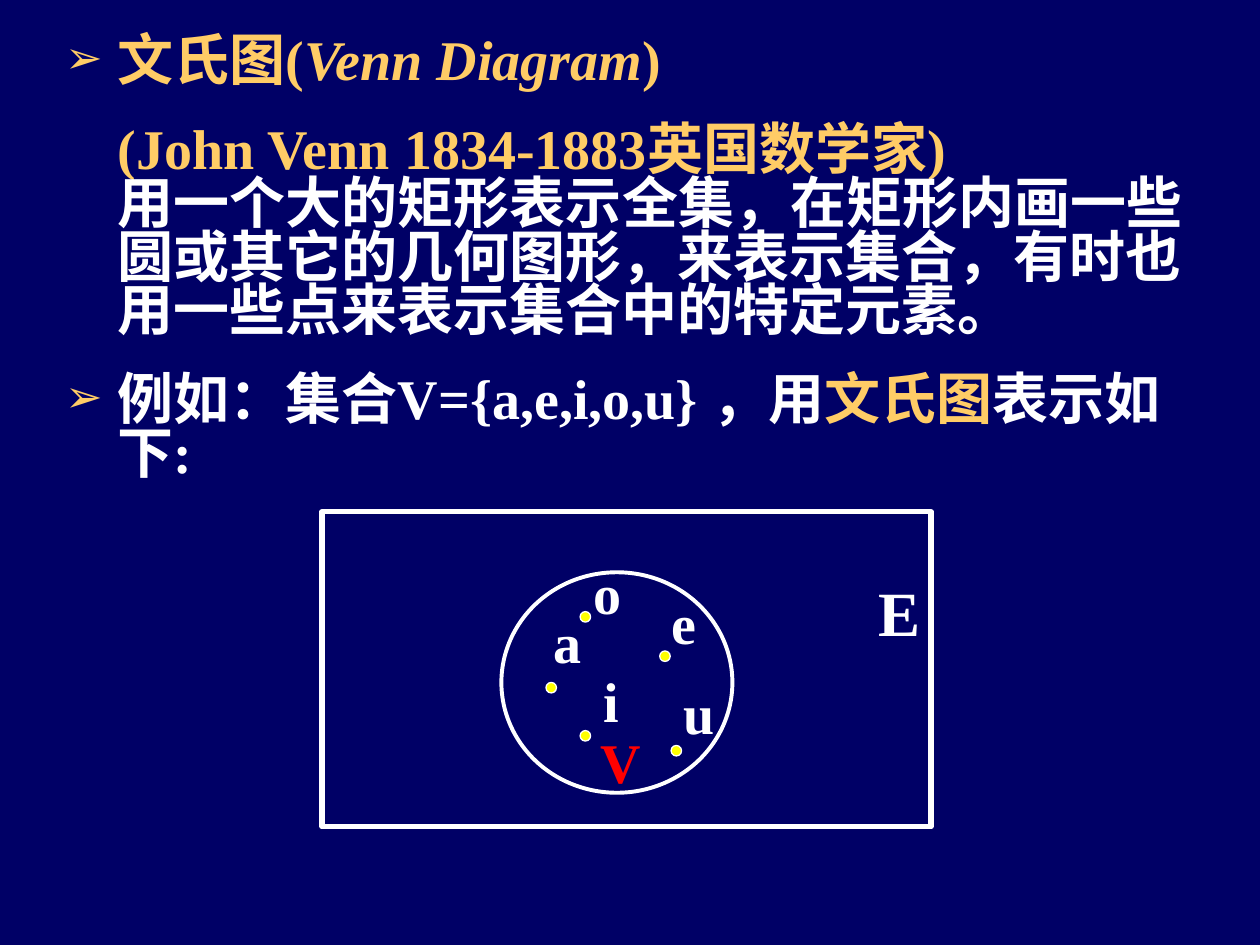
from typing import NamedTuple

from lxml.etree import SubElement
from pptx import Presentation
from pptx.dml.color import RGBColor
from pptx.enum.shapes import MSO_SHAPE as Preset
from pptx.enum.text import MSO_ANCHOR as Anchor, MSO_AUTO_SIZE as AutoSize
from pptx.oxml.ns import qn
from pptx.util import Pt

COLORS = {
    "background": "000066",
    "gold": "FFCC66",
    "white": "FFFFFF",
    "red": "FF0000",
    "yellow": "FFFF00",
}
LATIN_FONT = "Times New Roman"
CHINESE_FONT = "Noto Sans CJK SC"
INDENT = 30
DOT_SIZE = 6


class Run(NamedTuple):
    text: str
    color: str = "white"
    italic: bool = False
    font: str = LATIN_FONT


class Label(NamedTuple):
    text: str
    left: float
    top: float
    width: float
    height: float = 46
    size: float = 32
    color: str = "white"


class Dot(NamedTuple):
    left: float
    top: float


def rgb(name: str) -> RGBColor:
    return RGBColor.from_string(COLORS[name])


def add_text(paragraph, text: str, *, size: float = 32, color: str = "white",
             italic: bool = False, font: str = LATIN_FONT) -> None:
    run = paragraph.add_run()
    run.text = text
    run.font.size = Pt(size)
    run.font.bold = True
    run.font.italic = italic
    run.font.name = font
    run.font.color.rgb = rgb(color)
    SubElement(run.font._element, qn("a:ea"), typeface=CHINESE_FONT)


def format_bullet(paragraph, bulleted: bool) -> None:
    properties = paragraph._p.get_or_add_pPr()
    properties.set("marL", str(Pt(INDENT)))
    properties.set("indent", str(Pt(-INDENT if bulleted else 0)))
    if not bulleted:
        SubElement(properties, qn("a:buNone"))
        return
    bullet_color = SubElement(properties, qn("a:buClr"))
    SubElement(bullet_color, qn("a:srgbClr"), val=COLORS["gold"])
    SubElement(properties, qn("a:buSzPct"), val="80000")
    SubElement(properties, qn("a:buChar"), char="➢")


def add_outline(slide, preset, left: float, top: float, width: float,
                height: float, line_width: float, fill: str | None = None) -> None:
    shape = slide.shapes.add_shape(preset, Pt(left), Pt(top), Pt(width), Pt(height))
    shape.shadow.inherit = False
    if fill:
        shape.fill.solid()
        shape.fill.fore_color.rgb = rgb(fill)
    else:
        shape.fill.background()
    shape.line.color.rgb = rgb("white")
    shape.line.width = Pt(line_width)


def add_label(slide, label: Label) -> None:
    box = slide.shapes.add_textbox(Pt(label.left), Pt(label.top),
                                   Pt(label.width), Pt(label.height))
    frame = box.text_frame
    frame.word_wrap = False
    frame.auto_size = AutoSize.SHAPE_TO_FIT_TEXT
    add_text(frame.paragraphs[0], label.text, size=label.size, color=label.color)


# Each paragraph: whether it has a bullet, then its runs
PARAGRAPHS = [
    (True, [Run("文氏图(", "gold"),
            Run("Venn Diagram", "gold", italic=True),
            Run(")", "gold")]),
    (False, [Run("(John Venn 1834-1883英国数学家)", "gold"),
             Run("\v"),
             Run("用一个大的"),
             Run("矩形表示全集，在矩形内画一些圆或其它的几何图形，"
                 "来表示集合，有时也用一些点来表示集合中的特定元素。", font=CHINESE_FONT)]),
    (True, [Run("例如：集合", font=CHINESE_FONT),
            Run("V={a,e,i,o,u} ，用"),
            Run("文氏图", "gold"),
            Run("表示如下:")]),
]
LABELS = [
    Label("E", 495, 324, 38, height=50.5, size=36),
    Label("V", 336, 412, 37.5, color="red"),
    Label("a", 309, 343.5, 30.5),
    Label("u", 383.5, 384, 32.5),
    Label("o", 332, 315.5, 30.5),
    Label("i", 337.5, 377.5, 23),
    Label("e", 376.5, 332.5, 28.5),
]
DOTS = [Dot(312, 390), Dot(383.5, 426), Dot(331.5, 349.5),
        Dot(331.5, 417.5), Dot(377, 372)]

presentation = Presentation()
presentation.slide_width, presentation.slide_height = Pt(720), Pt(540)
slide = presentation.slides.add_slide(presentation.slide_layouts[1])
slide.background.fill.solid()
slide.background.fill.fore_color.rgb = rgb("background")

# Body text; the slide has no title
title = slide.shapes.title._element
title.getparent().remove(title)
body = slide.placeholders[1]
body.left, body.top, body.width, body.height = Pt(30), Pt(18), Pt(660), Pt(288)
frame = body.text_frame
frame.word_wrap = True
frame.auto_size = AutoSize.NONE
frame.vertical_anchor = Anchor.TOP
for index, (bulleted, runs) in enumerate(PARAGRAPHS):
    paragraph = frame.add_paragraph() if index else frame.paragraphs[0]
    format_bullet(paragraph, bulleted)
    paragraph.line_spacing = 0.8
    paragraph.space_before = Pt(20 if index else 0)
    for run in runs:
        if run.text == "\v":
            paragraph.add_line_break()
        else:
            add_text(paragraph, run.text, color=run.color,
                     italic=run.italic, font=run.font)

# Universal set E and set V
add_outline(slide, Preset.RECTANGLE, 184, 292.5, 348, 180, 3)
add_outline(slide, Preset.OVAL, 286.5, 327, 132, 126, 2.25)

# Elements and their names
for dot in DOTS:
    add_outline(slide, Preset.OVAL, dot.left, dot.top, DOT_SIZE, DOT_SIZE, 0.75, "yellow")
for label in LABELS:
    add_label(slide, label)

presentation.save("out.pptx")
